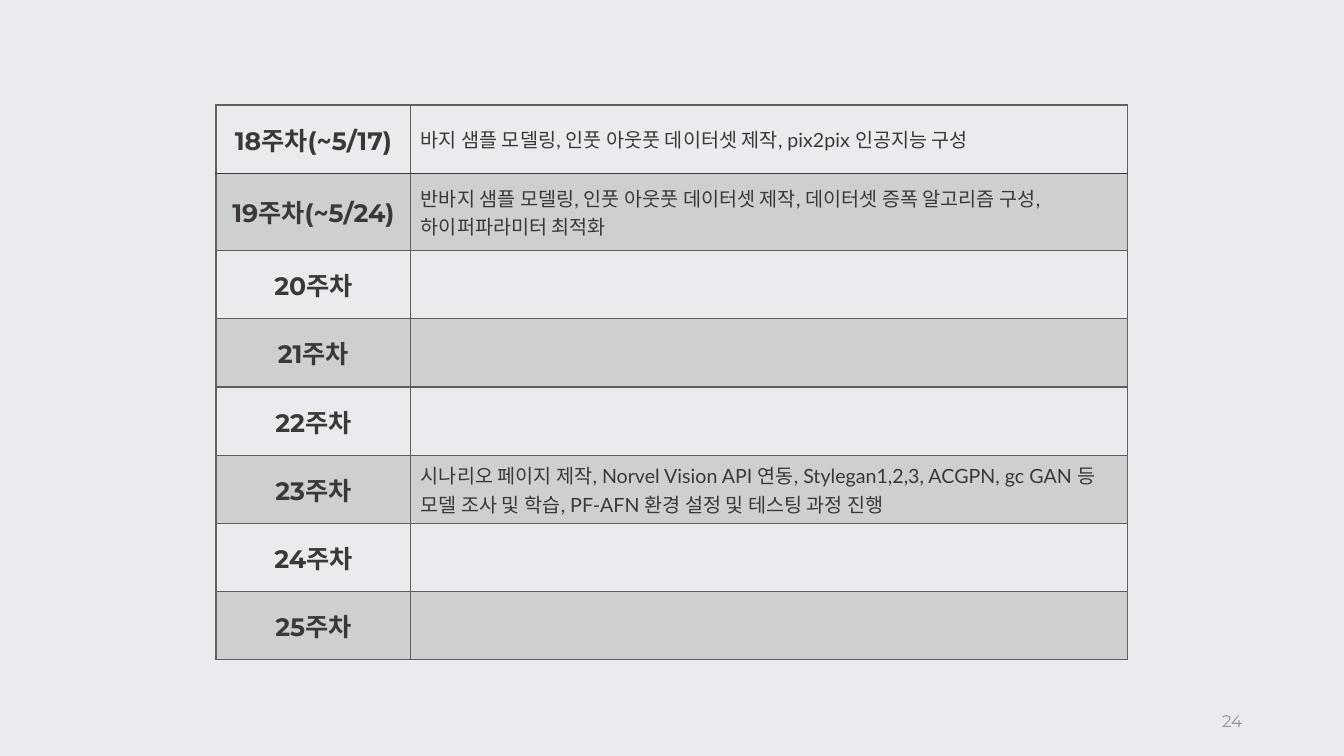
from typing import NamedTuple

from lxml import etree
from pptx import Presentation, util as u
from pptx.dml.color import RGBColor
from pptx.enum import text
from pptx.oxml import ns

PAPER = RGBColor(0xEA, 0xEB, 0xEE)
INK = RGBColor(0x3A, 0x38, 0x38)
GREY = RGBColor(0x5F, 0x5F, 0x5D)
PALE = RGBColor(0x91, 0x91, 0x91)

WIDTH, HEIGHT = u.Inches(13.33), u.Inches(7.5)
TABLE_LEFT, TABLE_TOP = 0.1607, 0.139
WEEK_WIDTH, TASK_WIDTH, ROW_HEIGHT = 0.145, 0.533, 0.0902
BAND_ALPHA = 20


class Style(NamedTuple):
    font: str
    size: int
    bold: bool
    color: RGBColor
    align: text.PP_ALIGN


class Week(NamedTuple):
    label: str
    tasks: str = ""


WEEK_STYLE = Style("Montserrat", 18, True, INK, text.PP_ALIGN.CENTER)
TASK_STYLE = Style("Lato", 14, False, INK, text.PP_ALIGN.LEFT)
NUMBER_STYLE = Style("Montserrat", 12, False, PALE, text.PP_ALIGN.RIGHT)

WEEKS = [
    Week("18주차(~5/17)", "바지 샘플 모델링, 인풋 아웃풋 데이터셋 제작, pix2pix 인공지능 구성"),
    Week("19주차(~5/24)", "반바지 샘플 모델링, 인풋 아웃풋 데이터셋 제작, "
         "데이터셋 증폭 알고리즘 구성, 하이퍼파라미터 최적화"),
    Week("20주차"),
    Week("21주차"),
    Week("22주차"),
    Week("23주차", "시나리오 페이지 제작, Norvel Vision API 연동, Stylegan1,2,3, ACGPN, "
         "gc GAN 등 모델 조사 및 학습, PF-AFN 환경 설정 및 테스팅 과정 진행"),
    Week("24주차"),
    Week("25주차"),
]


def across(share: float) -> int:
    return round(WIDTH * share)


def down(share: float) -> int:
    return round(HEIGHT * share)


def write(frame, words: str, style: Style) -> None:
    para = frame.paragraphs[0]
    para.alignment = style.align
    if not words:
        return
    span = para.add_run()
    span.text = words
    span.font.name = style.font
    span.font.size = u.Pt(style.size)
    span.font.bold = style.bold
    span.font.color.rgb = style.color


def add_border(cell, side: str, color: RGBColor) -> None:
    properties = cell._tc.get_or_add_tcPr()
    line = etree.SubElement(properties, ns.qn(f"a:ln{side}"), w=str(u.Pt(1)))
    fill = etree.SubElement(line, ns.qn("a:solidFill"))
    etree.SubElement(fill, ns.qn("a:srgbClr"), val=str(color))


def shade(cell, banded: bool) -> None:
    """Give banded cells a translucent grey and leave the others clear."""
    if not banded:
        cell.fill.background()
        return
    cell.fill.solid()
    cell.fill.fore_color.rgb = GREY
    color = cell._tc.tcPr.find(".//" + ns.qn("a:solidFill") + "[last()]/" + ns.qn("a:srgbClr"))
    color = cell._tc.tcPr.find(ns.qn("a:solidFill")).find(ns.qn("a:srgbClr"))
    etree.SubElement(color, ns.qn("a:alpha"), val=str(BAND_ALPHA * 1000))


def add_schedule(page, weeks: list[Week]) -> None:
    frame = page.shapes.add_table(
        len(weeks), 2, across(TABLE_LEFT), down(TABLE_TOP),
        across(WEEK_WIDTH + TASK_WIDTH), down(ROW_HEIGHT * len(weeks)))
    table = frame.table
    table.first_row = table.horz_banding = False
    for column, share in zip(table.columns, (WEEK_WIDTH, TASK_WIDTH)):
        column.width = across(share)
    for index, week in enumerate(weeks):
        table.rows[index].height = down(ROW_HEIGHT)
        # The rule under the first week is darker than the rest.
        edges = {"L": GREY, "R": GREY,
                 "T": INK if index == 1 else GREY,
                 "B": INK if index == 0 else GREY}
        for column, (words, style) in enumerate(zip(week, (WEEK_STYLE, TASK_STYLE))):
            cell = table.cell(index, column)
            cell.vertical_anchor = text.MSO_ANCHOR.MIDDLE
            write(cell.text_frame, words, style)
            for side, color in edges.items():
                add_border(cell, side, color)
            shade(cell, banded=index % 2 == 1)


def add_page_number(page, number: str) -> None:
    box = page.shapes.add_textbox(across(0.7067), down(0.9267), across(0.225), down(0.0533))
    box.text_frame.word_wrap = True
    box.text_frame.vertical_anchor = text.MSO_ANCHOR.MIDDLE
    write(box.text_frame, number, NUMBER_STYLE)


def main() -> None:
    deck = Presentation()
    deck.slide_width, deck.slide_height = WIDTH, HEIGHT
    page = deck.slides.add_slide(deck.slide_layouts[6])
    page.background.fill.solid()
    page.background.fill.fore_color.rgb = PAPER
    add_schedule(page, WEEKS)
    add_page_number(page, "24")
    deck.save("out.pptx")


if __name__ == "__main__":
    main()
